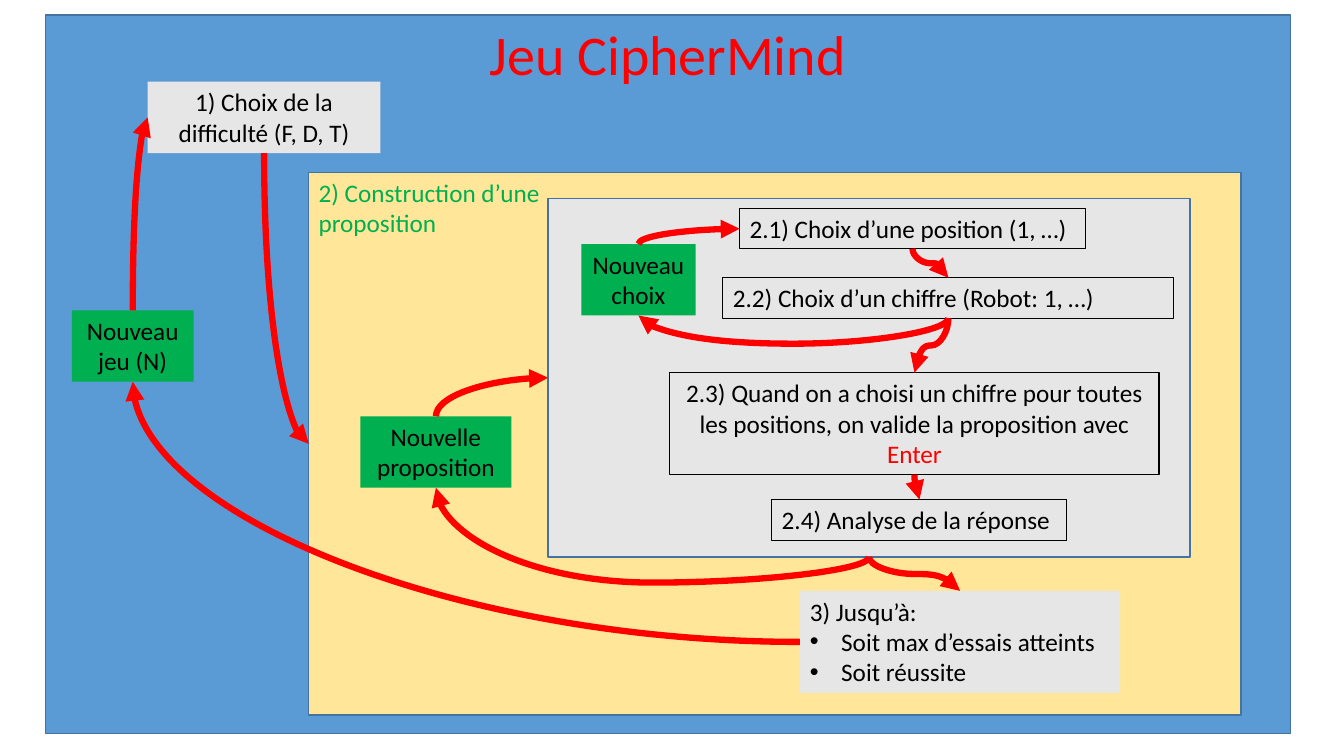
from dataclasses import dataclass

from lxml.etree import SubElement
from pptx import Presentation
from pptx.dml.color import RGBColor
from pptx.enum.shapes import MSO_CONNECTOR, MSO_SHAPE
from pptx.enum.text import MSO_ANCHOR, PP_ALIGN
from pptx.oxml.ns import qn
from pptx.util import Cm, Pt


@dataclass(frozen=True)
class Theme:
    font: str = "Calibri"
    title_size: int = 40
    body_size: int = 18
    blue: str = "5B9BD5"
    yellow: str = "FFE699"
    grey: str = "E7E6E6"
    green: str = "00B050"
    red: str = "FF0000"
    black: str = "000000"
    frame: str = "43739E"


theme = Theme()
TOP, LEFT, BOTTOM = 0, 1, 2
DIP = Cm(0.64)  # how far a loop hangs below the box it leaves

deck = Presentation()
deck.slide_width, deck.slide_height = Cm(33.87), Cm(19.05)
page = deck.slides.add_slide(deck.slide_layouts[6])

# Looks: fill, outline colour, outline width, text colour
LOOKS = {
    "game": (theme.blue, theme.frame, 1, theme.red),
    "construction": (theme.yellow, theme.frame, 1, theme.green),
    "turn": (theme.grey, theme.frame, 1, theme.black),
    "stage": (theme.grey, None, 0, theme.black),
    "again": (theme.green, None, 0, theme.black),
    "step": (None, theme.black, 0.75, theme.black),
}

# Key, look, left, top, width, height, centred, lines of text
BOXES = [
    ("game", "game", 1.14, 0.38, 31.38, 18.1, True, ["Jeu CipherMind"]),
    ("difficulty", "stage", 3.72, 2.06, 5.87, 1.8, True,
     ["1) Choix de la difficulté (F, D, T)"]),
    ("construction", "construction", 7.78, 4.35, 23.5, 13.67, False,
     ["2) Construction d’une", "proposition"]),
    ("turn", "turn", 13.81, 5, 16.18, 9.04, False, []),
    ("position", "step", 18.64, 5.26, 8.71, 1.01, False,
     ["2.1) Choix d’une position (1, …)"]),
    ("digit", "step", 18.22, 7, 11.36, 1.02, False,
     ["2.2) Choix d’un chiffre (Robot: 1, …)"]),
    ("validation", "step", 16.88, 9.39, 12.33, 2.57, True,
     ["2.3) Quand on a choisi un chiffre pour toutes les positions, "
      "on valide la proposition avec "]),
    ("answer", "step", 19.45, 12.59, 7.44, 1.02, False, ["2.4) Analyse de la réponse"]),
    ("until", "stage", 20.16, 14.89, 8.07, 2.57, False,
     ["3) Jusqu’à:", "Soit max d’essais atteints", "Soit réussite"]),
    ("new choice", "again", 14.65, 6.15, 2.88, 1.8, True, ["Nouveau choix"]),
    ("new proposition", "again", 9.08, 10.49, 3.81, 1.8, True, ["Nouvelle proposition"]),
    ("new game", "again", 1.81, 7.82, 3.07, 1.8, True, ["Nouveau jeu (N)"]),
]

boxes = {}
for key, look, left, top, width, height, centred, lines in BOXES:
    fill, outline, outline_width, ink = LOOKS[look]
    box = page.shapes.add_shape(
        MSO_SHAPE.RECTANGLE, Cm(left), Cm(top), Cm(width), Cm(height))
    box.shadow.inherit = False
    if fill:
        box.fill.solid()
        box.fill.fore_color.rgb = RGBColor.from_string(fill)
    else:
        box.fill.background()
    if outline:
        box.line.color.rgb = RGBColor.from_string(outline)
        box.line.width = Pt(outline_width)
    else:
        box.line.fill.background()
    boxes[key] = box
    if not lines:
        continue
    frame = box.text_frame
    frame.word_wrap = True
    frame.vertical_anchor = MSO_ANCHOR.TOP
    frame.text = "\n".join(lines)
    if key == "validation":
        frame.paragraphs[0].add_run().text = "Enter"
    for para in frame.paragraphs:
        para.alignment = PP_ALIGN.CENTER if centred else PP_ALIGN.LEFT
        for span in para.runs:
            span.font.name = theme.font
            span.font.size = Pt(theme.title_size if key == "game" else theme.body_size)
            span.font.color.rgb = RGBColor.from_string(
                theme.red if span.text == "Enter" else ink)

for para in boxes["until"].text_frame.paragraphs[1:]:
    settings = para._p.get_or_add_pPr()
    settings.set("marL", str(Cm(0.79)))
    settings.set("indent", str(-Cm(0.79)))
    SubElement(settings, qn("a:buFont"), typeface="Arial")
    SubElement(settings, qn("a:buChar"), char="•")

# Rotation and flips of a curve leaving vertically, by (goes right, goes down)
TURNS = {
    (True, True): (270, ["flipH"]),
    (False, True): (90, []),
    (False, False): (90, ["flipH"]),
    (True, False): (90, ["flipH", "flipV"]),
}

ARROWS = [
    ("difficulty", BOTTOM, "construction", LEFT),
    ("turn", BOTTOM, "new proposition", BOTTOM),
    ("turn", BOTTOM, "until", TOP),
    ("new proposition", TOP, "turn", LEFT),
    ("digit", BOTTOM, "new choice", BOTTOM),
    ("position", BOTTOM, "digit", TOP),
    ("digit", BOTTOM, "validation", TOP),
    ("validation", BOTTOM, "answer", TOP),
    ("new choice", TOP, "position", LEFT),
    ("until", LEFT, "new game", BOTTOM),
    ("new game", TOP, "difficulty", LEFT),
]

for source, source_side, target, target_side in ARROWS:
    arrow = page.shapes.add_connector(MSO_CONNECTOR.CURVE, 0, 0, 0, 0)
    arrow.begin_connect(boxes[source], source_side)
    arrow.end_connect(boxes[target], target_side)
    across = arrow.end_x - arrow.begin_x
    down = arrow.end_y - arrow.begin_y
    middle_x = (arrow.begin_x + arrow.end_x) // 2
    middle_y = (arrow.begin_y + arrow.end_y) // 2
    if source_side == LEFT:
        angle, flips = 180, []
        width, height = abs(across), abs(down)
    else:
        angle, flips = TURNS[across > 0, down > 0]
        width, height = abs(down), abs(across)
    arrow.left, arrow.top = middle_x - width // 2, middle_y - height // 2
    arrow.width, arrow.height = width, height

    properties = arrow.element.spPr
    transform = properties.find(qn("a:xfrm"))
    for flip in ("flipH", "flipV"):
        transform.set(flip, "1" if flip in flips else "0")
    transform.set("rot", str(angle * 60000))
    geometry = properties.find(qn("a:prstGeom"))
    if LEFT in (source_side, target_side):
        geometry.set("prst", "curvedConnector2")
    else:
        bend = -DIP / width if target_side == BOTTOM else 0.5
        SubElement(geometry.find(qn("a:avLst")), qn("a:gd"),
                   name="adj1", fmla=f"val {round(bend * 100000)}")

    arrow.line.color.rgb = RGBColor.from_string(theme.red)
    arrow.line.width = Pt(4.5)
    SubElement(properties.find(qn("a:ln")), qn("a:tailEnd"), type="triangle")
    SubElement(properties, qn("a:effectLst"))

deck.save("out.pptx")
